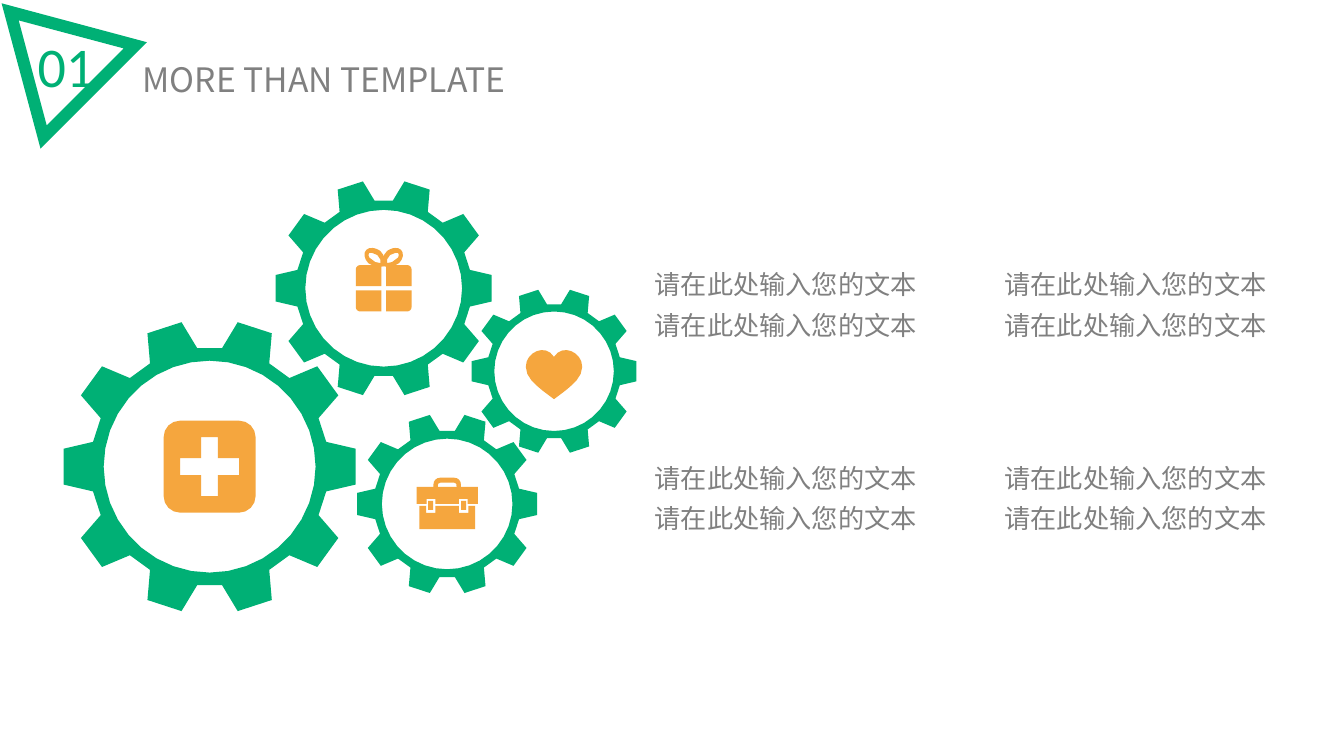
from math import cos, radians, sin

from lxml import etree
from pptx import Presentation
from pptx.dml.color import RGBColor
from pptx.enum.shapes import MSO_SHAPE
from pptx.enum.text import MSO_ANCHOR, MSO_AUTO_SIZE, PP_ALIGN
from pptx.oxml.ns import qn
from pptx.util import Inches, Pt

RECTANGLE = MSO_SHAPE.RECTANGLE
CENTER = PP_ALIGN.CENTER
TOP, MIDDLE = MSO_ANCHOR.TOP, MSO_ANCHOR.MIDDLE
GROW = MSO_AUTO_SIZE.SHAPE_TO_FIT_TEXT

COLORS = {"green": "00B075", "orange": "F5A63E", "gray": "808080"}
FONTS = {"number": "Calibri", "body": "Noto Sans CJK SC"}
COLUMNS = 400  # square grid cells across the slide
CURVE_STEPS = 4


def trace(*parts):
    """Points of an outline: a part is a corner (x, y) or a Bezier's three points."""
    points = [parts[0]]
    for part in parts[1:]:
        if len(part) == 2:
            points.append(part)
            continue
        x0, y0 = points[-1]
        x1, y1, x2, y2, x3, y3 = part
        for step in range(1, CURVE_STEPS + 1):
            t = step / CURVE_STEPS
            a, b, c, d = (1 - t) ** 3, 3 * t * (1 - t) ** 2, 3 * t * t * (1 - t), t ** 3
            points.append((a * x0 + b * x1 + c * x2 + d * x3,
                           a * y0 + b * y1 + c * y2 + d * y3))
    return points


def flip(points, across=1, down=1):
    return [(across * x, down * y) for x, y in points]


def mirror(*parts):
    """Whole symmetric outline from its right half."""
    half = trace(*parts)
    return half + [point for point in flip(half, -1)[::-1] if point[0]]


def arc(radius, start, end, step):
    return [(radius * cos(radians(angle)), radius * sin(radians(angle)))
            for angle in range(start, end + 1, step)]


class SlideBuilder:
    def __init__(self):
        self.deck = Presentation()
        self.deck.slide_width = Inches(13.333)
        self.deck.slide_height = Inches(7.5)
        self.cell = self.deck.slide_width / COLUMNS
        self.page = self.deck.slides.add_slide(self.deck.slide_layouts[6])

    def cells(self, *lengths):
        return [round(length * self.cell) for length in lengths]

    def paint(self, shape, color):
        shape.shadow.inherit = False
        shape.fill.solid()
        shape.fill.fore_color.rgb = RGBColor.from_string(COLORS[color])
        shape.line.fill.background()
        return shape

    def outline(self, center, color, *contours):
        """Filled freeform; later contours cut holes in the first."""
        builder = None
        for contour in contours:
            points = [self.cells(center[0] + x, center[1] + y) for x, y in contour]
            if builder is None:
                builder = self.page.shapes.build_freeform(*points[0], scale=1.0)
            else:
                builder.move_to(*points[0])
            builder.add_line_segments(points[1:], close=True)
        return self.paint(builder.convert_to_shape(), color)

    def block(self, color, *place):
        self.paint(self.page.shapes.add_shape(RECTANGLE, *self.cells(*place)), color)

    def gear(self, center, tip):
        root, hole, rim = 0.81 * tip, 0.72 * tip, []
        for tooth in range(0, 360, 36):
            rim += arc(root, tooth - 24, tooth - 12, 12)
            rim += arc(tip, tooth - 7, tooth + 7, 14)
        self.outline(center, "green", rim, arc(hole, 0, 350, 10)[::-1])

    def text(self, place, lines, size, color, font="body", anchor=MIDDLE,
             spacing=None, wrap=True):
        frame = self.page.shapes.add_textbox(*self.cells(*place)).text_frame
        frame_style = {"word_wrap": wrap, "auto_size": GROW, "vertical_anchor": anchor}
        for name, value in frame_style.items():
            setattr(frame, name, value)
        for index, line in enumerate(lines):
            para = frame.paragraphs[0] if index == 0 else frame.add_paragraph()
            for name, value in {"alignment": CENTER, "line_spacing": spacing}.items():
                setattr(para, name, value)
            span = para.add_run()
            span.text = line
            for name, value in {"size": Pt(size), "name": FONTS[font]}.items():
                setattr(span.font, name, value)
            span.font.color.rgb = RGBColor.from_string(COLORS[color])
            east_asian = etree.SubElement(span.font._element, qn("a:ea"))
            east_asian.set("typeface", FONTS[font])


def main():
    slide = SlideBuilder()

    # Gears
    cross_gear, gift_gear = (62.4, 138.9), (114.2, 85.8)
    case_gear, heart_gear = (133.1, 150), (164.9, 110.5)
    for center, tip in ((cross_gear, 43.8), (gift_gear, 32.4),
                        (case_gear, 27), (heart_gear, 24.7)):
        slide.gear(center, tip)

    # Medical cross
    slide.outline(
        cross_gear, "orange",
        mirror((8.7, -13.7), (11.5, -13.7, 13.7, -11.5, 13.7, -8.7),
               (13.7, 8.7), (13.7, 11.5, 11.5, 13.7, 8.7, 13.7)),
        mirror((2.5, -8.8), (2.5, -2.5), (8.8, -2.5),
               (8.8, 2.5), (2.5, 2.5), (2.5, 8.8))[::-1])

    # Gift: two bow loops and four box quarters
    loop = trace((3.4, -12), (2.8, -12, 1.9, -11.7, 1, -11.1),
                 (-0.2, -9.9, -1.1, -7.5, -0.2, -6.6),
                 (1.3, -6.3), (2.2, -6.3, 3.7, -6.9, 4.6, -7.5),
                 (5.8, -8.7, 6.1, -10.5, 5.2, -11.4), (4.4, -11.9))
    loop_hole = trace((3.4, -10.5), (4.3, -10.5), (4.6, -10.2, 4.6, -9, 3.7, -8.7),
                      (2.5, -7.8), (1, -7.5), (1, -8.6), (1.9, -9.9))
    quarter = trace((0.7, 0.6), (8.3, 0.6), (8.3, 5.6),
                    (8.3, 6.3, 7.7, 6.9, 7, 6.9), (0.7, 6.9))
    for across in (1, -1):
        slide.outline(gift_gear, "orange", flip(loop, across),
                      flip(loop_hole[::-1], across))
        for down in (-1, 1):
            slide.outline(gift_gear, "orange", flip(quarter, across, down))

    # Briefcase: lid with handle, body, latches
    slide.outline(
        case_gear, "orange",
        mirror((2.1, -7.8), (3.2, -7.8, 4.1, -7, 4.1, -5.7), (4.1, -5.1), (9.1, -5.1),
               (9.1, 0), (6.1, 0), (6.1, -1.5), (3.5, -1.5), (3.5, 0)),
        mirror((2.1, -6.3), (2.7, -6), (2.8, -5.1))[::-1])
    slide.outline(case_gear, "orange",
                  mirror((3.5, 0.6), (3.5, 2.7), (6.3, 2.7), (6.3, 0.6),
                         (8.3, 0.6), (8.3, 7.5)))
    for offset in (-4.9, 4.9):
        slide.block("orange", case_gear[0] + offset - 0.75, case_gear[1] - 0.9, 1.5, 2.7)

    # Heart
    slide.outline(heart_gear, "orange",
                  mirror((0, -4.3), (1.3, -6.3, 3.4, -6.7, 5.1, -6),
                         (6.9, -5.3, 8.4, -3.6, 8.4, -1.3),
                         (8.4, 1.7, 5.7, 3.8, 3.6, 5.6), (0, 8.3)))

    # Text blocks, two by two
    for column in range(2):
        for row in range(2):
            slide.text((181.8 + 104.1 * column, 75.6 + 57.6 * row, 104.1, 27.6),
                       ["请在此处输入您的文本"] * 2, 18.7, "gray", anchor=TOP, spacing=1.3)

    # Heading with number and triangle
    slide.text((8.1, 7.8, 23.1, 23.1), ["01"], 40, "green", font="number", wrap=False)
    triangle = slide.outline((14.2, 14.7), "green",
                             mirror((0, -19.4), (22.4, 19.4)),
                             mirror((0, -12.2), (16.2, 15.8))[::-1])
    triangle.rotation = 315
    slide.text((24.3, 15.9, 144.3, 15.3), ["MORE THAN TEMPLATE"], 24, "gray")

    slide.deck.save("out.pptx")


if __name__ == "__main__":
    main()
